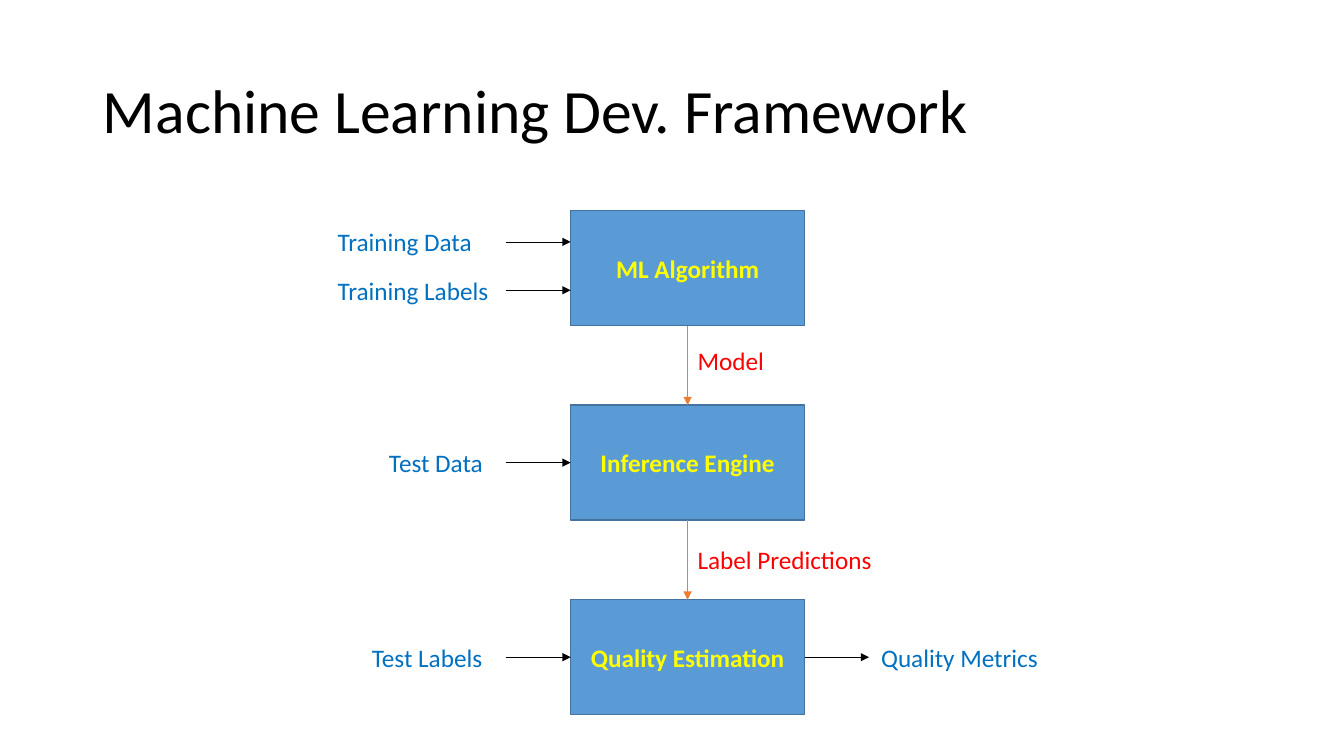
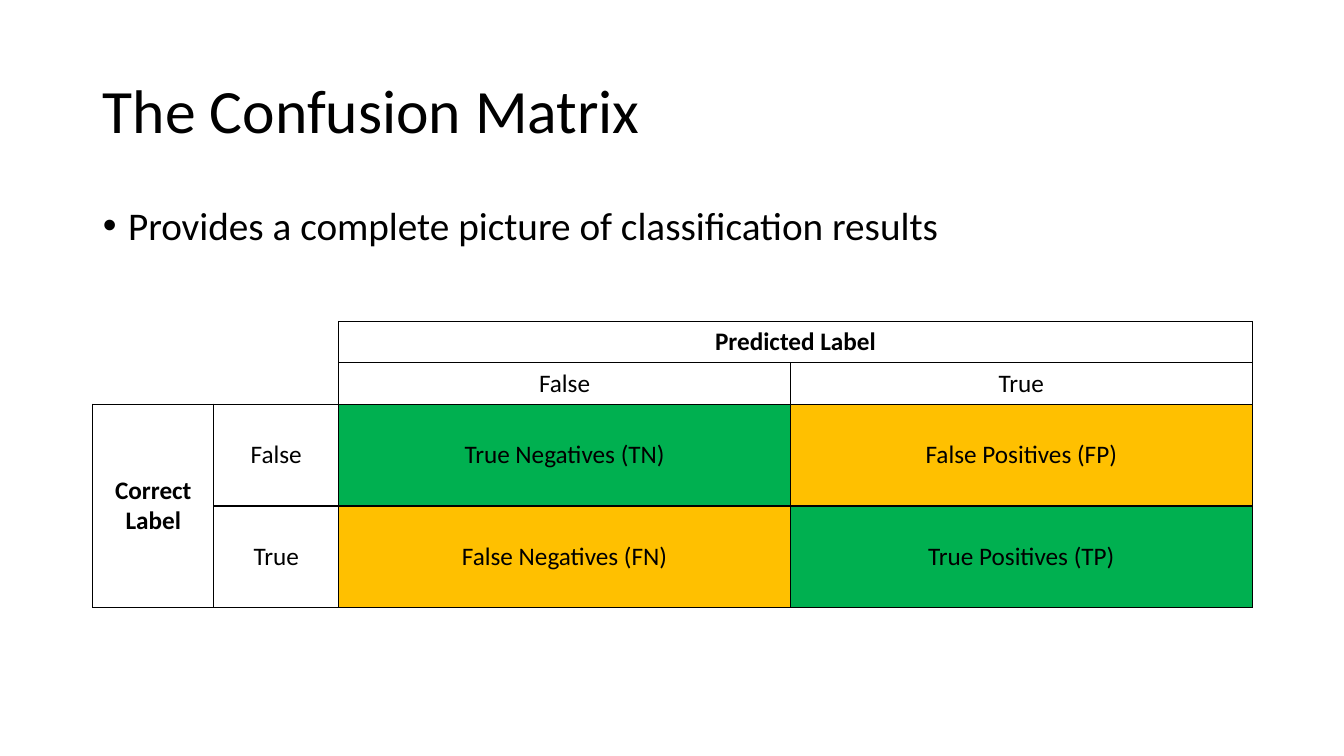
from pptx import Presentation
from pptx.dml.color import RGBColor
from pptx.enum.shapes import MSO_CONNECTOR, MSO_SHAPE
from pptx.enum.text import MSO_ANCHOR, MSO_AUTO_SIZE, PP_ALIGN
from pptx.oxml.ns import qn
from pptx.util import Inches, Pt
from lxml.etree import SubElement

FONT = "Calibri"
COLORS = {
    "text": "000000",
    "stage": "5B9BD5",
    "stage_edge": "43739E",
    "stage_text": "FFFF00",
    "data": "0070C0",
    "result": "FF0000",
    "flow": "ED7D31",
    "correct": "00B050",
    "wrong": "FFC000",
}
TITLE_ONLY, TITLE_AND_CONTENT = 5, 1
TOP, LEFT, BOTTOM, RIGHT = range(4)

STAGE_LEFT, STAGE_TOP = 5.66, 2.09
STAGE_WIDTH, STAGE_HEIGHT, STAGE_PITCH = 2.32, 1.14, 1.93
ARROW_LENGTH = 0.64
LABEL_HEIGHT = 0.4


def rgb(name):
    return RGBColor.from_string(COLORS[name])


def place(shape, left, top, width, height):
    shape.left, shape.top = Inches(left), Inches(top)
    shape.width, shape.height = Inches(width), Inches(height)


def write(frame, text, size=18, color="text", bold=False, align=PP_ALIGN.LEFT,
          anchor=MSO_ANCHOR.TOP, line_spacing=1.0):
    frame.word_wrap = True
    frame.vertical_anchor = anchor
    frame.text = text
    paragraph = frame.paragraphs[0]
    paragraph.alignment = align
    paragraph.line_spacing = line_spacing
    paragraph.space_before = Pt(0)
    font = paragraph.runs[0].font
    font.name, font.size, font.bold = FONT, Pt(size), bold
    font.color.rgb = rgb(color)
    return paragraph


def add_titled_slide(prs, layout, title):
    slide = prs.slides.add_slide(prs.slide_layouts[layout])
    heading = slide.shapes.title
    place(heading, 0.92, 0.4, 11.5, 1.45)
    heading.text_frame.auto_size = MSO_AUTO_SIZE.NONE
    write(heading.text_frame, title, size=44, anchor=MSO_ANCHOR.MIDDLE,
          line_spacing=0.9)
    return slide


def add_stage(slide, row, name):
    stage = slide.shapes.add_shape(
        MSO_SHAPE.RECTANGLE, Inches(STAGE_LEFT),
        Inches(STAGE_TOP + row * STAGE_PITCH),
        Inches(STAGE_WIDTH), Inches(STAGE_HEIGHT))
    stage.shadow.inherit = False
    stage.fill.solid()
    stage.fill.fore_color.rgb = rgb("stage")
    stage.line.color.rgb = rgb("stage_edge")
    stage.line.width = Pt(1)
    write(stage.text_frame, name, color="stage_text", bold=True,
          align=PP_ALIGN.CENTER, anchor=MSO_ANCHOR.MIDDLE)
    return stage


def add_label(slide, text, left, middle, width, color="data"):
    label = slide.shapes.add_textbox(
        Inches(left), Inches(middle - LABEL_HEIGHT / 2),
        Inches(width), Inches(LABEL_HEIGHT))
    write(label.text_frame, text, color=color)


def add_arrow(slide, start, end, color="text", width=0.5,
              begin_at=None, end_at=None):
    """Draw an arrow; begin_at and end_at are (shape, side) pairs to join."""
    arrow = slide.shapes.add_connector(
        MSO_CONNECTOR.STRAIGHT, *(Inches(length) for length in (*start, *end)))
    if begin_at:
        arrow.begin_connect(*begin_at)
    if end_at:
        arrow.end_connect(*end_at)
    arrow.line.color.rgb = rgb(color)
    arrow.line.width = Pt(width)
    SubElement(arrow.line._get_or_add_ln(), qn("a:tailEnd"), type="triangle")
    SubElement(arrow._element.spPr, qn("a:effectLst"))


def set_borders(cell, hidden=()):
    properties = cell._tc.get_or_add_tcPr()
    for edge in ("lnL", "lnR", "lnT", "lnB"):
        line = SubElement(properties, qn(f"a:{edge}"), w=str(Pt(1)))
        if edge in hidden:
            SubElement(line, qn("a:noFill"))
        else:
            fill = SubElement(line, qn("a:solidFill"))
            SubElement(fill, qn("a:srgbClr"), val=COLORS["text"])


def add_framework_slide(prs):
    slide = add_titled_slide(prs, TITLE_ONLY, "Machine Learning Dev. Framework")
    names = ("ML Algorithm", "Inference Engine", "Quality Estimation")
    stages = [add_stage(slide, row, name) for row, name in enumerate(names)]
    algorithm, inference, quality = stages

    center = STAGE_LEFT + STAGE_WIDTH / 2
    handovers = (("Model", 3.58, 1.16), ("Label Predictions", 5.55, 2.07))
    for upper, lower, (text, middle, width) in zip(stages, stages[1:], handovers):
        add_arrow(slide, (center, middle), (center, middle), color="flow",
                  width=1, begin_at=(upper, BOTTOM), end_at=(lower, TOP))
        add_label(slide, text, center, middle, width, color="result")

    inference_middle, quality_middle = (
        STAGE_TOP + row * STAGE_PITCH + STAGE_HEIGHT / 2 for row in (1, 2))
    arrow_left = STAGE_LEFT - ARROW_LENGTH
    for text, left, middle, stage in (
            ("Training Data", 3.25, 2.4, None),
            ("Training Labels", 3.25, 2.88, None),
            ("Test Data", 3.76, inference_middle, inference),
            ("Test Labels", 3.59, quality_middle, quality)):
        add_label(slide, text, left, middle, arrow_left - left)
        add_arrow(slide, (arrow_left, middle), (STAGE_LEFT, middle),
                  end_at=(stage, LEFT) if stage else None)

    stage_right = STAGE_LEFT + STAGE_WIDTH
    add_arrow(slide, (stage_right, quality_middle),
              (stage_right + ARROW_LENGTH, quality_middle),
              begin_at=(quality, RIGHT))
    add_label(slide, "Quality Metrics", 8.64, quality_middle, 1.98)


def add_confusion_table(slide):
    widths = (1.2, 1.24, 4.48, 4.58)
    heights = (0.41, 0.41, 1.01, 1.01)
    cells = (
        ("", "", "Predicted Label", ""),
        ("", "", "False", "True"),
        ("Correct Label", "False", "True Negatives (TN)", "False Positives (FP)"),
        ("", "True", "False Negatives (FN)", "True Positives (TP)"),
    )
    table = slide.shapes.add_table(
        len(heights), len(widths), Inches(0.92), Inches(3.19),
        Inches(sum(widths)), Inches(sum(heights))).table
    table.first_row = table.horz_banding = False
    for column, width in zip(table.columns, widths):
        column.width = Inches(width)
    for row, height in zip(table.rows, heights):
        row.height = Inches(height)

    for row, texts in enumerate(cells):
        for column, text in enumerate(texts):
            cell = table.cell(row, column)
            in_corner = row < 2 and column < 2
            set_borders(cell, hidden=("lnL", "lnT") if in_corner else ())
            if row >= 2 and column >= 2:
                cell.fill.solid()
                cell.fill.fore_color.rgb = rgb(
                    "correct" if row == column else "wrong")
            else:
                cell.fill.background()
            if text:
                write(cell.text_frame, text, bold=text.endswith("Label"),
                      align=PP_ALIGN.CENTER)
                cell.vertical_anchor = MSO_ANCHOR.MIDDLE

    for first, last in (((0, 0), (1, 1)), ((0, 2), (0, 3)), ((2, 0), (3, 0))):
        table.cell(*first).merge(table.cell(*last))


def add_confusion_slide(prs):
    slide = add_titled_slide(prs, TITLE_AND_CONTENT, "The Confusion Matrix")
    summary = slide.placeholders[1]
    place(summary, 0.92, 2, 11.5, 4.76)
    summary.text_frame.auto_size = MSO_AUTO_SIZE.NONE
    point = write(summary.text_frame,
                  "Provides a complete picture of classification results",
                  size=28, line_spacing=0.9)
    indents = point._p.get_or_add_pPr()
    indents.set("marL", str(Inches(0.25)))
    indents.set("indent", str(Inches(-0.25)))
    add_confusion_table(slide)


def main():
    prs = Presentation()
    prs.slide_width, prs.slide_height = Inches(13.33), Inches(7.5)
    add_framework_slide(prs)
    add_confusion_slide(prs)
    prs.save("out.pptx")


if __name__ == "__main__":
    main()
